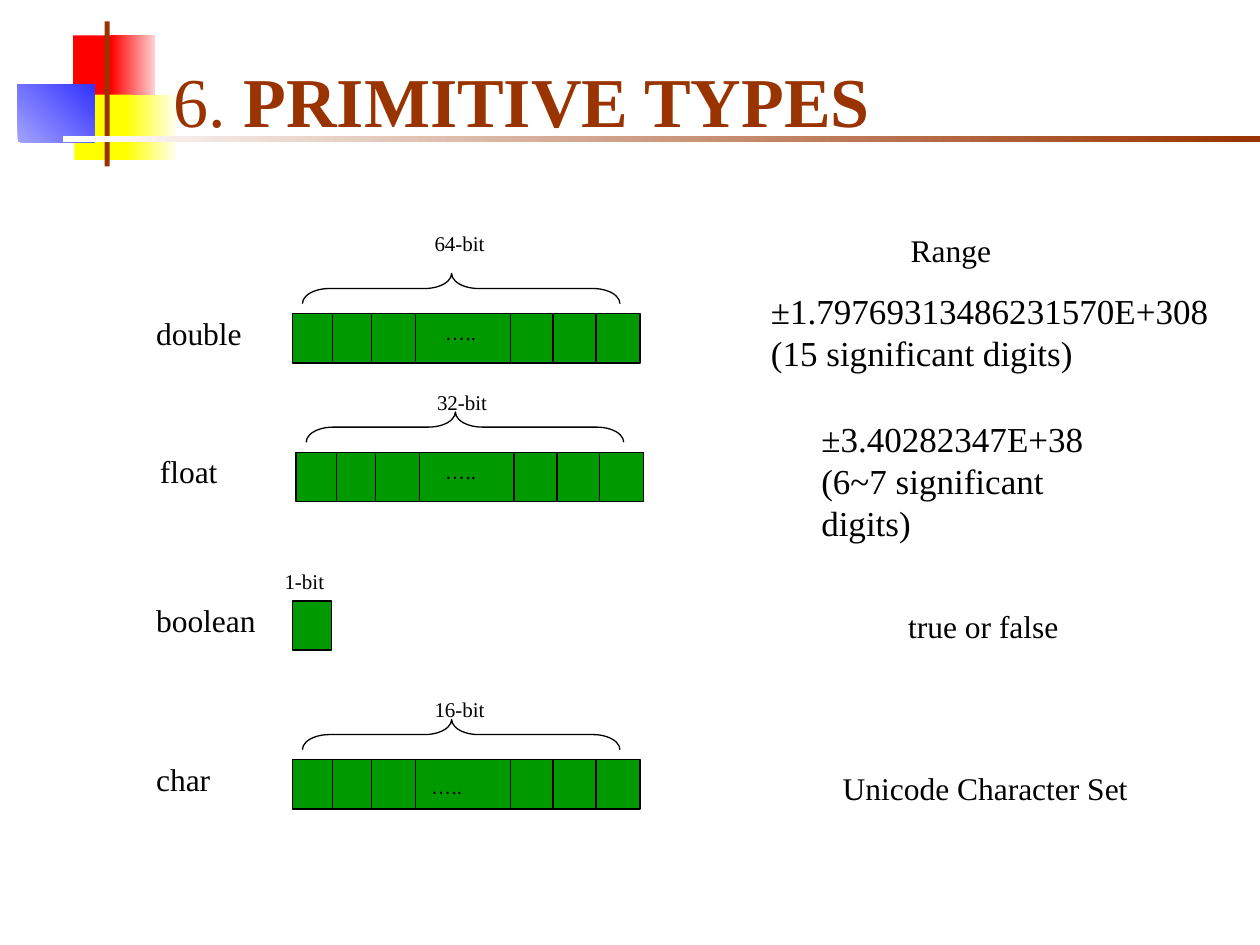
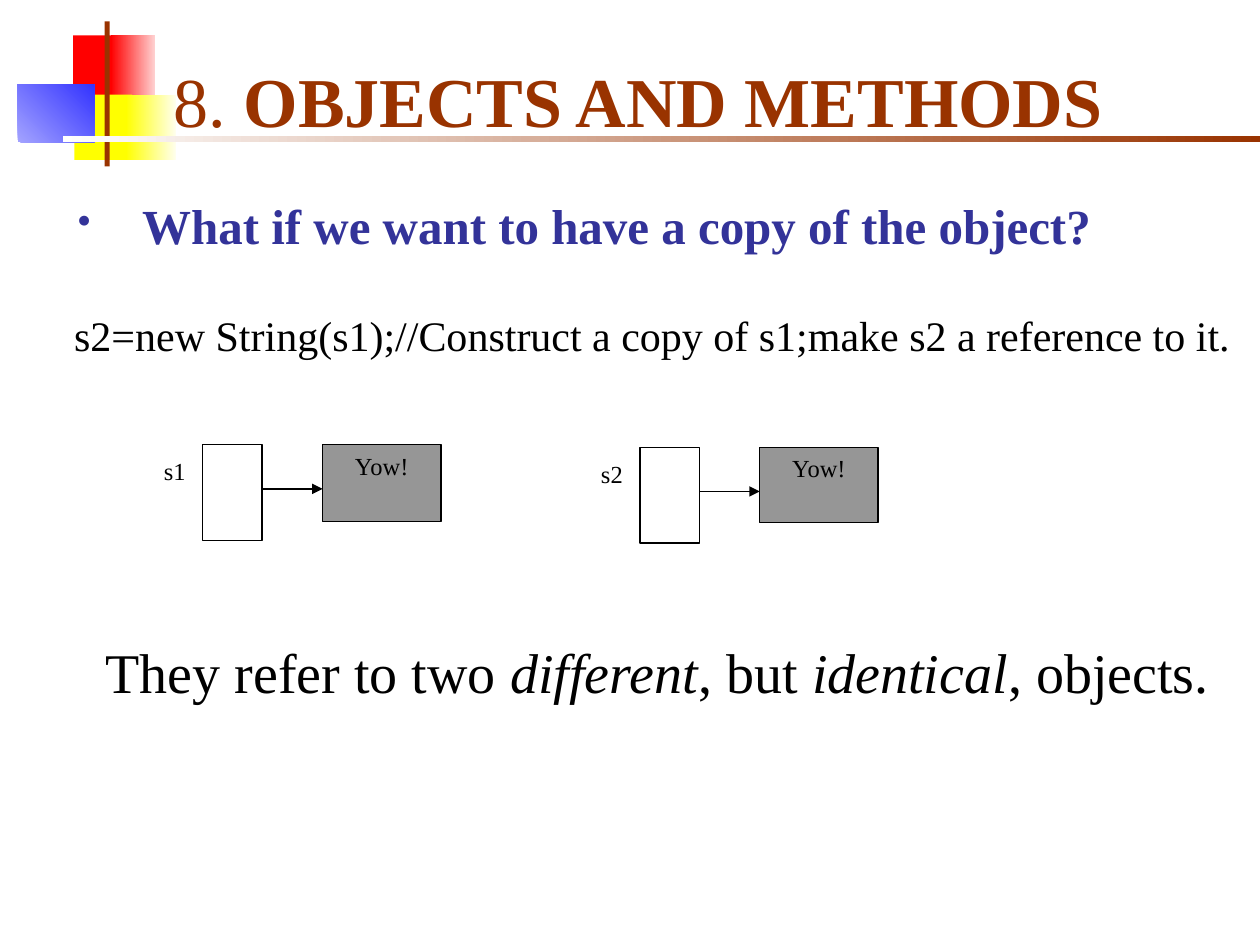
from lxml import etree
from pptx import Presentation
from pptx import util as u
from pptx.dml.color import RGBColor
from pptx.enum import shapes, text
from pptx.oxml import ns

COLORS = {
    "black": "000000", "white": "FFFFFF", "brown": "993300", "navy": "333399",
    "red": "FF0000", "pale red": "FFD1D1", "yellow": "FFFF00", "pale yellow": "FFFFEF",
    "blue": "3333FF", "pale blue": "A3A3FF", "green": "009900", "gray": "969696",
}
RGB = {name: RGBColor.from_string(value) for name, value in COLORS.items()}
SERIF = "Times New Roman"
TOP, MIDDLE, BOTTOM = (text.MSO_ANCHOR.TOP, text.MSO_ANCHOR.MIDDLE, text.MSO_ANCHOR.BOTTOM)


def write(shape, content, size=18, color="black", anchor=TOP, align=text.PP_ALIGN.LEFT,
          insets=(0.1, 0.05, 0.1, 0.05), spacing=None):
    """Content is a string, or a list of (text, font settings) runs for one paragraph."""
    frame = shape.text_frame
    frame.word_wrap = True
    frame.vertical_anchor = anchor
    (frame.margin_left, frame.margin_top,
     frame.margin_right, frame.margin_bottom) = map(u.Inches, insets)
    if isinstance(content, str):
        lines = [[(line, {})] for line in content.split("\n")]
    else:
        lines = [content]
    for number, line in enumerate(lines):
        paragraph = frame.add_paragraph() if number else frame.paragraphs[0]
        paragraph.alignment = align
        if spacing:
            paragraph.line_spacing = u.Pt(spacing)
        for words, settings in line:
            run = paragraph.add_run()
            run.text = words
            run.font.size = u.Pt(size)
            run.font.color.rgb = RGB[color]
            run.font.name = SERIF
            for setting, value in settings.items():
                setattr(run.font, setting, value)
    return frame


def outline(shape, fill=None):
    """Thin black line, no shadow, and an optional solid fill."""
    shape.line.color.rgb = RGB["black"]
    shape.line.width = u.Pt(0.75)
    if fill:
        shape.fill.solid()
        shape.fill.fore_color.rgb = RGB[fill]
    etree.SubElement(shape._element.spPr, ns.qn("a:effectLst"))
    return shape


deck = Presentation()
deck.slide_width, deck.slide_height = u.Inches(10), u.Inches(7.5)

# Shared decoration: left, top, width, height, start colour, end colour, angle
ORNAMENTS = [
    (0.58, 0.28, 0.36, 0.52, "red", None, 0),
    (0.88, 0.28, 0.35, 0.52, "pale red", "red", 180),
    (0.59, 0.75, 0.46, 0.52, "yellow", None, 0),
    (1.0, 0.75, 0.4, 0.52, "pale yellow", "yellow", 180),
    (0.14, 0.67, 0.61, 0.46, "pale blue", "blue", 45),
    (0.83, 0.17, 0.04, 1.15, "brown", None, 0),
    (0.5, 1.08, 9.5, 0.05, "white", "brown", 0),
]
slides = []
for number, heading in (("6. ", "PRIMITIVE TYPES"), ("8. ", "OBJECTS AND METHODS")):
    slide = deck.slides.add_slide(deck.slide_layouts[6])
    slides.append(slide)
    for *place, start, end, angle in ORNAMENTS:
        ornament = slide.shapes.add_shape(shapes.MSO_SHAPE.RECTANGLE, *map(u.Inches, place))
        ornament.shadow.inherit = False
        ornament.line.fill.background()
        if end:
            ornament.fill.gradient()
            ornament.fill.gradient_angle = angle
            for stop, shade in zip(ornament.fill.gradient_stops, (start, end)):
                stop.color.rgb = RGB[shade]
        else:
            ornament.fill.solid()
            ornament.fill.fore_color.rgb = RGB[start]
    title = slide.shapes.add_textbox(*map(u.Inches, (1.22, 0.25, 8.63, 0.92)))
    write(title, [(number, {}), (heading, {"bold": True})], size=40, color="brown",
          anchor=BOTTOM, insets=(0.16, 0.05, 0.1, 0.05), spacing=48)
primitives, objects = slides

# Memory layout of each type: bar left and top, bits label left and top, dots left and top
TYPES = [
    ("double", 2.32, 2.49, "64-bit", 3.35, 1.78, (3.43, 2.49)),
    ("float", 2.35, 3.59, "32-bit", 3.37, 3.04, (3.43, 3.59)),
    ("boolean", 2.32, 4.77, "1-bit", 2.16, 4.46, None),
    ("char", 2.32, 6.03, "16-bit", 3.35, 5.48, (3.32, 6.09)),
]
BAR_HEIGHT = 0.39
CELL_EDGES = (0.32, 0.63, 0.98, 1.73, 2.07, 2.41)
BRACE_LENGTH, BRACE_DEPTH = 2.52, 0.24
for name, left, top, bits, bits_left, bits_top, dots_at in TYPES:
    type_name = primitives.shapes.add_textbox(*map(u.Inches, (left - 1.18, top - 0.05, 1.15, 0.4)))
    write(type_name, name, anchor=MIDDLE)
    bar_width = 2.76 if dots_at else 0.31
    outline(primitives.shapes.add_shape(
        shapes.MSO_SHAPE.RECTANGLE, *map(u.Inches, (left, top, bar_width, BAR_HEIGHT))), "green")
    bits_label = primitives.shapes.add_textbox(*map(u.Inches, (bits_left, bits_top, 0.71, 0.3)))
    write(bits_label, bits, size=12)
    if not dots_at:
        continue
    for edge in CELL_EDGES:
        outline(primitives.shapes.add_connector(
            shapes.MSO_CONNECTOR.STRAIGHT,
            *map(u.Inches, (left + edge, top, left + edge, top + BAR_HEIGHT))))
    # The brace is upright before its quarter turn, so place it by its centre
    center_x, center_y = left + 0.08 + BRACE_LENGTH / 2, top - 0.2
    brace = outline(primitives.shapes.add_shape(
        shapes.MSO_SHAPE.RIGHT_BRACE,
        *map(u.Inches, (center_x - BRACE_DEPTH / 2, center_y - BRACE_LENGTH / 2,
                        BRACE_DEPTH, BRACE_LENGTH))))
    brace.rotation = 270
    brace.adjustments[0], brace.adjustments[1] = 0.89, 0.47
    brace.fill.background()
    dots = primitives.shapes.add_textbox(*map(u.Inches, (*dots_at, 0.71, 0.3)))
    write(dots, [("…", {"name": "Arial"}), ("..", {})], size=12)

# Range column
RANGES = [
    ("Range", 18, 7.13, 1.78, 1.0, 0.4),
    ("±1.79769313486231570E+308\n(15 significant digits)", 20, 6.02, 2.25, 3.85, 0.77),
    ("±3.40282347E+38\n(6~7 significant digits)", 20, 6.42, 3.43, 2.6, 0.77),
    ("true or false", 18, 7.11, 4.77, 1.6, 0.4),
    ("Unicode Character Set", 18, 6.59, 6.05, 2.7, 0.4),
]
for values, size, *place in RANGES:
    write(primitives.shapes.add_textbox(*map(u.Inches, place)), values, size=size, anchor=MIDDLE)

# Question with its bullet
question = objects.shapes.add_textbox(*map(u.Inches, (0.42, 1.5, 9.38, 0.68)))
question_text = write(question, [("What if we want to have a copy of the object?", {"bold": True})],
                      size=28, color="navy", spacing=34)
bullet = question_text.paragraphs[0]._p.get_or_add_pPr()
bullet.set("marL", str(u.Inches(0.61)))
bullet.set("indent", str(u.Inches(-0.51)))
bullet_color = etree.SubElement(bullet, ns.qn("a:buClr"))
etree.SubElement(bullet_color, ns.qn("a:srgbClr"), val=COLORS["navy"])
etree.SubElement(bullet, ns.qn("a:buSzPct"), val="77000")
etree.SubElement(bullet, ns.qn("a:buChar"), char="•")

# Code line
code = objects.shapes.add_textbox(*map(u.Inches, (0.49, 2.41, 9.5, 0.5)))
write(code, "s2=new String(s1);//Construct a copy of s1;make s2 a reference to it.",
      size=24, anchor=MIDDLE)

# Each variable refers to its own object
for variable, left, top, object_height in (("s1", 1.61, 3.53, 0.61), ("s2", 5.08, 3.55, 0.6)):
    outline(objects.shapes.add_shape(
        shapes.MSO_SHAPE.RECTANGLE, *map(u.Inches, (left, top, 0.47, 0.76))), "white")
    reference = outline(objects.shapes.add_connector(
        shapes.MSO_CONNECTOR.STRAIGHT,
        *map(u.Inches, (left + 0.47, top + 0.35, left + 0.95, top + 0.35))))
    etree.SubElement(reference.line._get_or_add_ln(), ns.qn("a:tailEnd"), type="triangle")
    variable_name = objects.shapes.add_textbox(
        *map(u.Inches, (left - 0.31, top + 0.09, 0.63, 0.29)))
    write(variable_name, variable, size=14, align=text.PP_ALIGN.JUSTIFY, insets=(0, 0, 0, 0.05))
    yow = outline(objects.shapes.add_shape(
        shapes.MSO_SHAPE.RECTANGLE, *map(u.Inches, (left + 0.95, top, 0.94, object_height))), "gray")
    write(yow, "Yow!", size=14, align=text.PP_ALIGN.CENTER)

# Conclusion
conclusion = objects.shapes.add_textbox(*map(u.Inches, (0.74, 5.01, 9.25, 0.64)))
write(conclusion, [("They refer to two ", {}), ("different", {"italic": True}), (", but ", {}),
                   ("identical", {"italic": True}), (", objects.", {})], size=32, anchor=MIDDLE)

deck.save("out.pptx")
